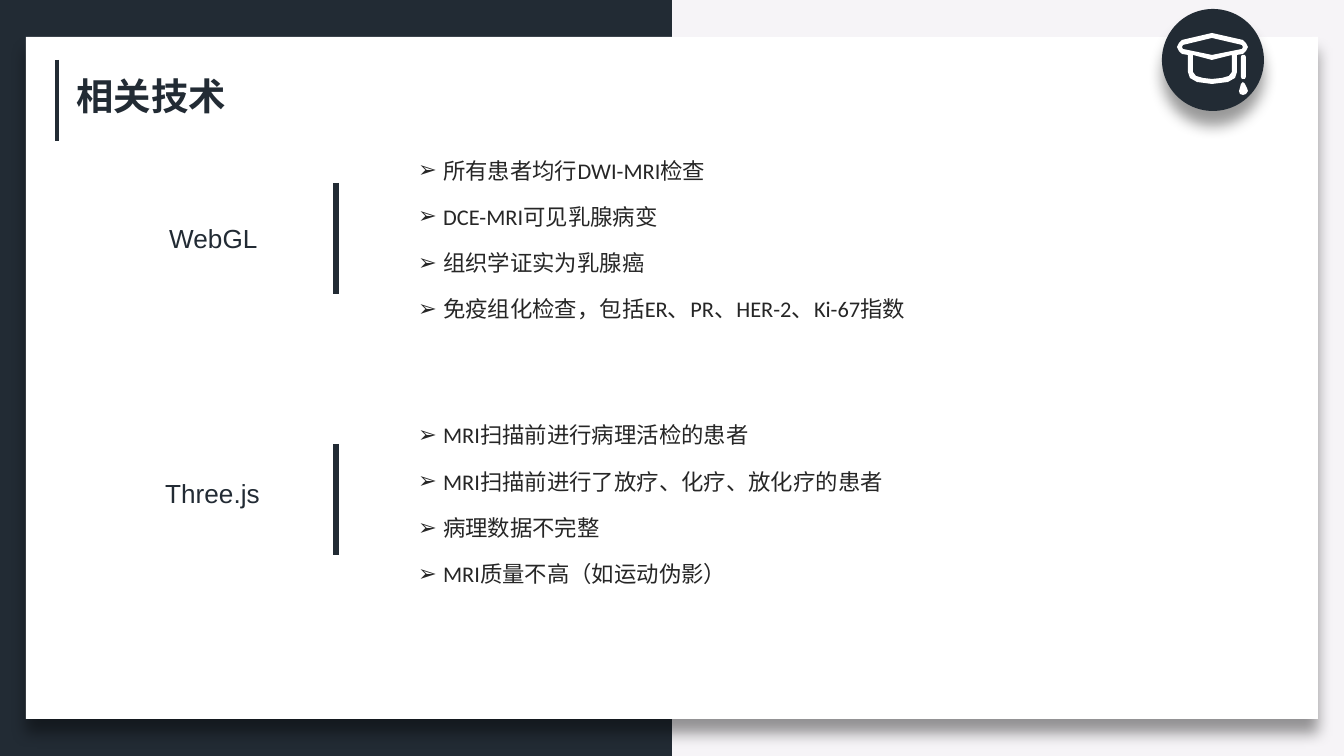
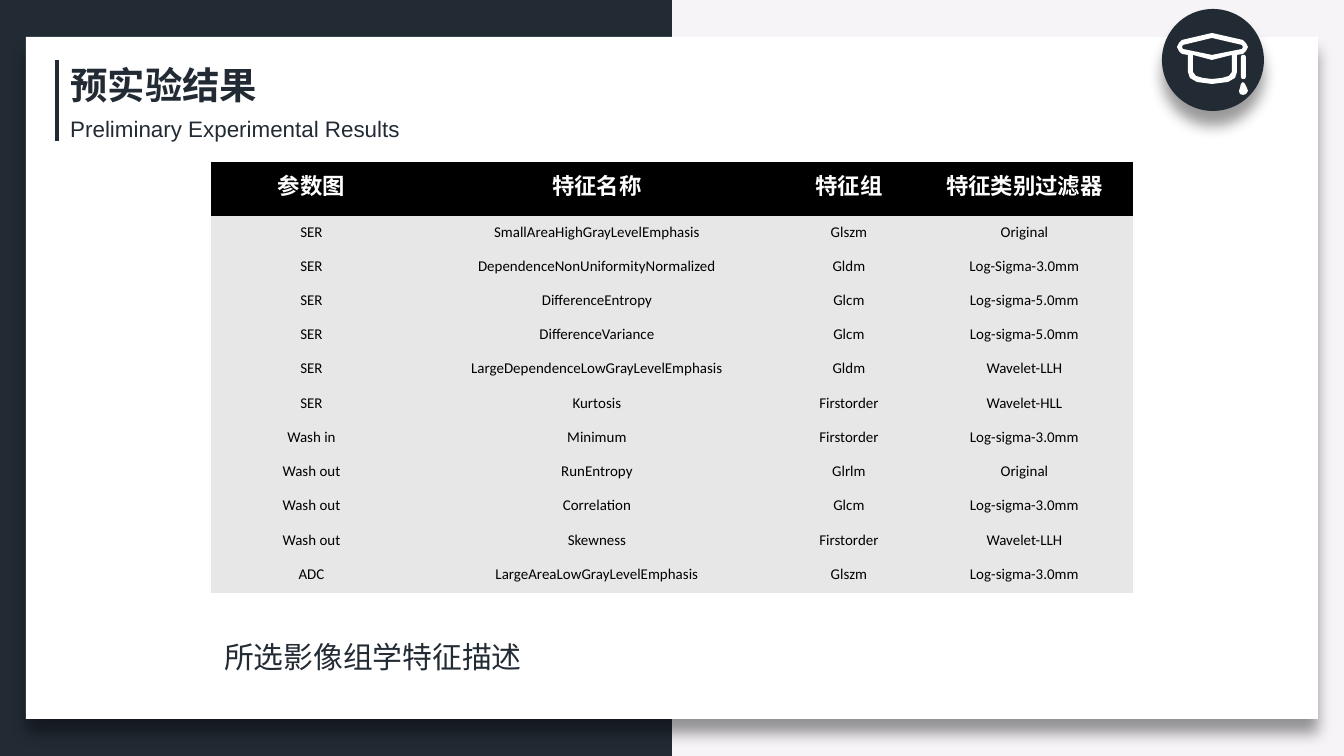
from lxml import etree
from pptx import Presentation
from pptx.dml.color import RGBColor
from pptx.enum.shapes import MSO_CONNECTOR, MSO_SHAPE, PP_PLACEHOLDER
from pptx.enum.text import MSO_ANCHOR, MSO_AUTO_SIZE, PP_ALIGN
from pptx.oxml.ns import qn
from pptx.util import Emu, Pt

RECTANGLE, OVAL = MSO_SHAPE.RECTANGLE, MSO_SHAPE.OVAL
STRAIGHT = MSO_CONNECTOR.STRAIGHT
TITLE = PP_PLACEHOLDER.TITLE
LEFT, CENTER = PP_ALIGN.LEFT, PP_ALIGN.CENTER
TOP = MSO_ANCHOR.TOP
GROW = MSO_AUTO_SIZE.SHAPE_TO_FIT_TEXT

EMU_PER_PX = 914400 / 134.4
WIDTH, HEIGHT = 1344, 756
TITLE_ONLY = 5
NO_TABLE_STYLE = "{2D5ABB26-0587-4C30-8999-92F81FD0307C}"
HEADING, SANS, BODY = "Noto Sans CJK SC", "Arial", "Calibri"
COLORS = {
    "navy": "222B34",
    "mist": "F6F4F7",
    "white": "FFFFFF",
    "black": "000000",
    "ink": "262626",
    "grey": "E7E7E7",
}

CAP = [
    [(50, 24), (81, 31), (84, 34), (86, 38), (84, 42), (81, 45), (75, 46),
     (75, 63), (73, 69), (66, 73), (50, 75), (35, 73), (28, 69), (26, 63),
     (26, 46), (20, 45), (17, 42), (15, 38), (17, 34), (20, 31)],
    [(50, 29), (80, 36), (81, 38), (80, 40), (50, 46), (21, 40), (20, 38), (21, 36)],
    [(31, 46), (50, 51), (70, 46), (70, 63), (67, 67), (60, 69), (50, 70),
     (41, 69), (34, 67), (31, 63)],
]
CORD = [[(79, 48), (80, 46), (83, 46), (84, 48), (84, 68), (83, 70), (80, 70), (79, 68)]]
TASSEL = [[(81, 73), (83, 75), (85, 79), (86, 82), (84, 85), (81, 86),
           (78, 85), (77, 82), (78, 79), (79, 75)]]

TOPICS = [
    {
        "name": "WebGL",
        "name_box": (156, 216, 116, 46),
        "bar": (336, 183, 294),
        "list_box": (405, 142, 516, 233),
        "points": [
            "所有患者均行DWI-MRI检查",
            "DCE-MRI可见乳腺病变",
            "组织学证实为乳腺癌",
            "免疫组化检查，包括ER、PR、HER-2、Ki-67指数",
        ],
    },
    {
        "name": "Three.js",
        "name_box": (152, 471, 122, 46),
        "bar": (336, 444, 555),
        "list_box": (405, 407, 516, 185),
        "points": [
            "MRI扫描前进行病理活检的患者",
            "MRI扫描前进行了放疗、化疗、放化疗的患者",
            "病理数据不完整",
            "MRI质量不高（如运动伪影）",
        ],
    },
]

FEATURE_COLUMNS = (201, 370, 134, 217)
FEATURES = [
    ("参数图", "特征名称", "特征组", "特征类别过滤器"),
    ("SER", "SmallAreaHighGrayLevelEmphasis", "Glszm", "Original"),
    ("SER", "DependenceNonUniformityNormalized", "Gldm", "Log-Sigma-3.0mm"),
    ("SER", "DifferenceEntropy", "Glcm", "Log-sigma-5.0mm"),
    ("SER", "DifferenceVariance", "Glcm", "Log-sigma-5.0mm"),
    ("SER", "LargeDependenceLowGrayLevelEmphasis", "Gldm", "Wavelet-LLH"),
    ("SER", "Kurtosis", "Firstorder", "Wavelet-HLL"),
    ("Wash in", "Minimum", "Firstorder", "Log-sigma-3.0mm"),
    ("Wash out", "RunEntropy", "Glrlm", "Original"),
    ("Wash out", "Correlation", "Glcm", "Log-sigma-3.0mm"),
    ("Wash out", "Skewness", "Firstorder", "Wavelet-LLH"),
    ("ADC", "LargeAreaLowGrayLevelEmphasis", "Glszm", "Log-sigma-3.0mm"),
]


def px(length):
    return Emu(round(length * EMU_PER_PX))


def color(name):
    return RGBColor.from_string(COLORS[name])


def paint(shape, fill):
    shape.fill.solid()
    shape.fill.fore_color.rgb = color(fill)
    shape.line.fill.background()
    shape.shadow.inherit = False


def cast_shadow(shape):
    effects = shape.element.find(qn("p:spPr")).find(qn("a:effectLst"))
    shadow = etree.SubElement(effects, qn("a:outerShdw"), blurRad="101600",
                              dist="101600", dir="5400000", algn="t", rotWithShape="0")
    tone = etree.SubElement(shadow, qn("a:srgbClr"), val=COLORS["black"])
    etree.SubElement(tone, qn("a:alpha"), val="40000")


def add_block(shapes, kind, box, fill):
    block = shapes.add_shape(kind, *map(px, box))
    paint(block, fill)
    return block


def add_bar(shapes, x, top, bottom, weight):
    bar = shapes.add_connector(STRAIGHT, px(x), px(top), px(x), px(bottom))
    bar.line.color.rgb = color("navy")
    bar.line.width = Pt(weight)
    etree.SubElement(bar.element.find(qn("p:spPr")), qn("a:effectLst"))


def add_outline(shapes, contours, left, top):
    builder = None
    for start, *others in contours:
        if builder is None:
            builder = shapes.build_freeform(*start, scale=EMU_PER_PX)
        else:
            builder.move_to(*start)
        builder.add_line_segments(others, close=True)
    paint(builder.convert_to_shape(px(left), px(top)), "white")


def add_run(para, text, size, font, tone="navy", bold=False):
    span = para.add_run()
    span.text = text
    span.font.size = Pt(size)
    span.font.bold = bold
    span.font.color.rgb = color(tone)
    span.font.name = font
    etree.SubElement(span.font._element, qn("a:ea"), typeface=HEADING)


def add_text(page, box, text, size, font, wrap=False):
    frame = page.shapes.add_textbox(*map(px, box)).text_frame
    frame.word_wrap = wrap
    frame.auto_size = GROW
    add_run(frame.paragraphs[0], text, size, font)


def add_badge(page, left, top, size):
    badge = page.shapes.add_group_shape()
    cast_shadow(add_block(badge.shapes, OVAL, (left, top, size, size), "navy"))
    for contours in (CAP, CORD, TASSEL):
        add_outline(badge.shapes, contours, left, top)


def add_frame(page):
    add_block(page.shapes, RECTANGLE, (0, 0, WIDTH // 2, HEIGHT), "navy")
    cast_shadow(add_block(page.shapes, RECTANGLE, (26, 37, 1292, 682), "white"))
    add_bar(page.shapes, 57, 60, 141, 2.25)
    add_badge(page, 1162, 9, 102)


def share_frame(page):
    layout = page.slide_layout
    layout.background.fill.solid()
    layout.background.fill.fore_color.rgb = color("mist")
    for holder in list(layout.placeholders):
        if holder.placeholder_format.type != TITLE:
            holder.element.getparent().remove(holder.element)
    add_frame(page)
    tree = layout.shapes.element
    parts = [shape.element for shape in page.shapes if not shape.is_placeholder]
    for place, part in enumerate(parts, 2):
        tree.insert(place, part)
    for number, node in enumerate(tree.iter(qn("p:cNvPr")), 1):
        node.set("id", str(number))


def set_title(page, box, text):
    title = page.shapes.title
    title.left, title.top, title.width, title.height = map(px, box)
    frame = title.text_frame
    frame.word_wrap = False
    frame.auto_size = GROW
    frame.vertical_anchor = TOP
    para = frame.paragraphs[0]
    para.alignment = LEFT
    add_run(para, text, 20, HEADING, bold=True)


def add_bullets(page, box, points):
    frame = page.shapes.add_textbox(*map(px, box)).text_frame
    frame.word_wrap = True
    frame.auto_size = GROW
    for index, point in enumerate(points):
        para = frame.add_paragraph() if index else frame.paragraphs[0]
        para.line_spacing = 1.3
        para.space_before = Pt(6)
        settings = para._p.get_or_add_pPr()
        settings.set("marL", str(px(25)))
        settings.set("indent", str(-px(25)))
        etree.SubElement(settings, qn("a:buFont"), typeface=SANS)
        etree.SubElement(settings, qn("a:buChar"), char="➢")
        add_run(para, point, 12, BODY, "ink")


def add_feature_table(page, left, top, height, header_height):
    grid = page.shapes.add_table(len(FEATURES), len(FEATURE_COLUMNS), px(left), px(top),
                                 px(sum(FEATURE_COLUMNS)), px(height))
    table = grid.table
    table.horz_banding = False
    grid.element.find(".//" + qn("a:tableStyleId")).text = NO_TABLE_STYLE
    for column, width in zip(table.columns, FEATURE_COLUMNS):
        column.width = px(width)
    row_height = (height - header_height) / (len(FEATURES) - 1)
    for row_index, values in enumerate(FEATURES):
        header = row_index == 0
        table.rows[row_index].height = px(header_height if header else row_height)
        for column_index, value in enumerate(values):
            cell = table.cell(row_index, column_index)
            cell.fill.solid()
            cell.fill.fore_color.rgb = color("black" if header else "grey")
            para = cell.text_frame.paragraphs[0]
            para.alignment = CENTER
            add_run(para, value, 12 if header else 8, BODY,
                    "white" if header else "black", header)


def fill_technology_page(page):
    set_title(page, (63, 66, 177, 59), "相关技术")
    for topic in TOPICS:
        add_text(page, topic["name_box"], topic["name"], 14, SANS)
        add_bullets(page, topic["list_box"], topic["points"])
        add_bar(page.shapes, *topic["bar"], 3)


def fill_results_page(page):
    set_title(page, (57, 55, 218, 59), "预实验结果")
    add_text(page, (57, 109, 359, 40), "Preliminary Experimental Results", 12, SANS)
    add_feature_table(page, 211, 162, 431, 54)
    add_text(page, (211, 632, 469, 50), "所选影像组学特征描述", 16, SANS, wrap=True)


def main():
    deck = Presentation()
    deck.slide_width, deck.slide_height = px(WIDTH), px(HEIGHT)
    layout = deck.slide_layouts[TITLE_ONLY]
    technology_page = deck.slides.add_slide(layout)
    share_frame(technology_page)
    fill_technology_page(technology_page)
    fill_results_page(deck.slides.add_slide(layout))
    deck.save("out.pptx")


if __name__ == "__main__":
    main()
